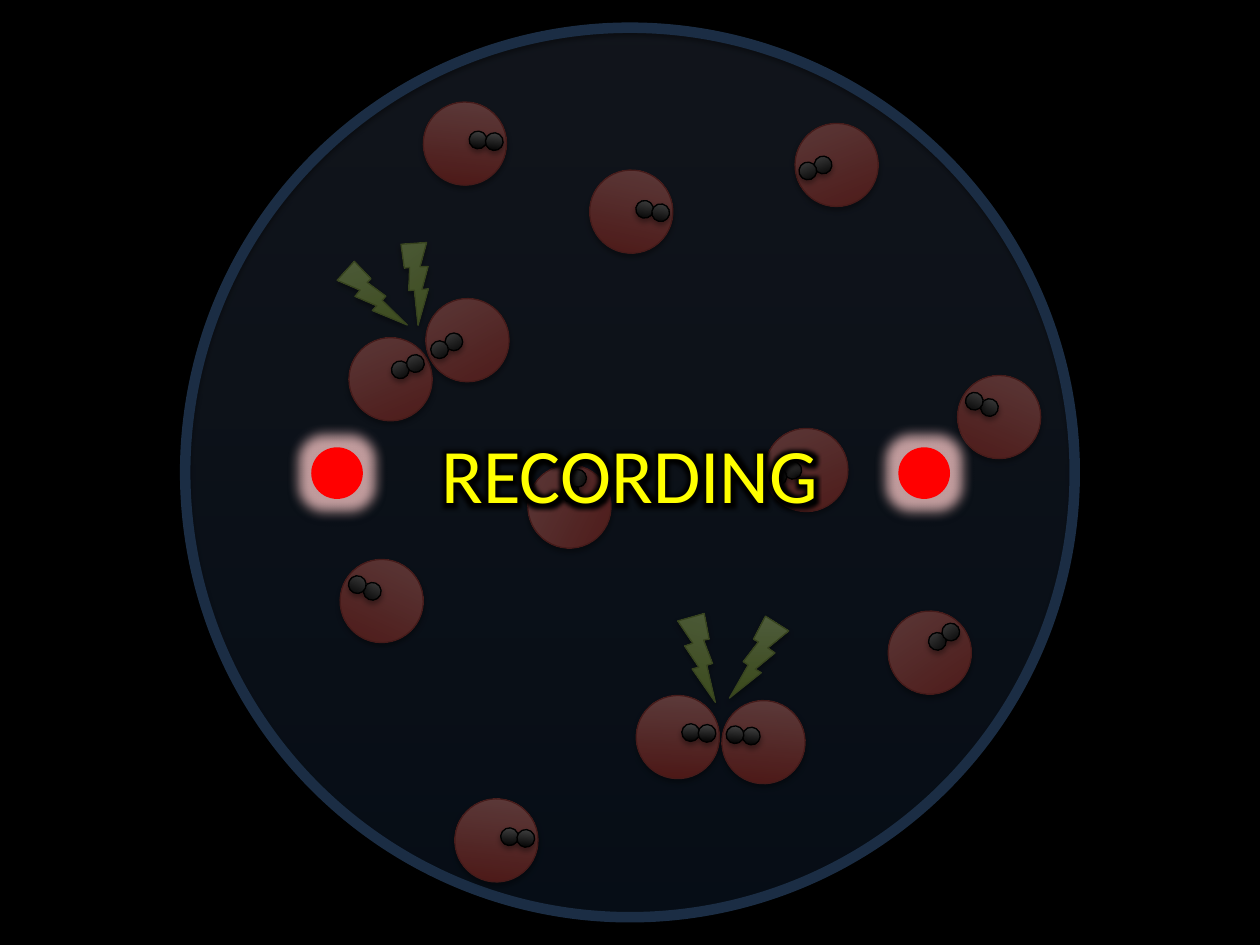
from math import cos, radians, sin

from lxml import etree
from pptx import Presentation
from pptx.dml.color import RGBColor as RGB
from pptx.enum.shapes import MSO_SHAPE as Kind
from pptx.enum.text import MSO_ANCHOR as Anchor, PP_ALIGN as Align
from pptx.oxml.ns import qn
from pptx.util import Inches, Pt

COLORS = {
    "black": "000000", "gray": "BDBDBD", "ring": "4B7EBC",
    "deep": "3F80CE", "sky": "A4C4FF",
    "red": "D1403C", "pink": "FFA6A5", "rust": "BF4C48",
    "green": "A0CA4A", "lime": "DAFFA5", "moss": "98B955",
    "yellow": "FFFF00", "lamp": "FF0000", "halo": "FFCCCC",
}
CELL = 0.66
EYE = 0.14
EYES = [(0.1, -0.04), (0.23, -0.04)]

CELLS = [
    (2.77, 2.68, 337.6, False), (3.38, 2.37, 331.3, True),
    (2.7, 4.44, 24, True), (4.68, 1.35, 11.9, False),
    (6.07, 3.4, 336.8, True), (5.05, 5.52, 2.7, False),
    (4.19, 3.69, 295.9, False), (3.61, 6.34, 6, False),
    (3.36, 0.81, 6, False), (7.05, 4.85, 325.3, False),
    (6.31, 0.98, 338.5, True), (7.6, 2.98, 22.6, True),
    (5.73, 5.56, 4.7, True),
]
BOLTS = [
    (5.31, 4.87, 0.47, 0.65, 16.6, False),
    (5.79, 4.89, 0.47, 0.65, 0, True),
    (2.72, 2.05, 0.44, 0.6, 344.3, False),
    (3.1, 1.91, 0.44, 0.6, 324.1, True),
]


def tint(node, name, alpha):
    color = etree.SubElement(node, qn("a:srgbClr"), val=COLORS[name])
    etree.SubElement(color, qn("a:alpha"), val=str(alpha * 1000))


def glow(node, name, size, alpha):
    tint(etree.SubElement(node, qn("a:glow"), rad=str(Pt(size))), name, alpha)


class Scene:
    font = "Calibri"

    def __init__(self, deck):
        self.slide = deck.slides.add_slide(deck.slide_layouts[0])
        back = self.slide.background.fill
        back.solid()
        back.fore_color.rgb = self.color("black")
        sub = self.slide.placeholders[1].element
        sub.getparent().remove(sub)

    def color(self, name):
        return RGB.from_string(COLORS[name])

    def shape(self, kind, box, fill=(), line=None, width=0.75, turn=0,
              flip=False, alpha=None, halo=None):
        item = self.slide.shapes.add_shape(kind, *map(Inches, box))
        item.rotation = turn
        props = item.element.spPr
        if flip:
            props.get_or_add_xfrm().set("flipH", "1")
        self.paint(item.fill, fill)
        if alpha:
            for color in props.iter(qn("a:srgbClr")):
                etree.SubElement(color, qn("a:alpha"), val=str(alpha * 1000))
        if line:
            item.line.color.rgb = self.color(line)
            item.line.width = Pt(width)
        else:
            item.line.fill.background()
        item.shadow.inherit = False
        fx = props.find(qn("a:effectLst"))
        if halo:
            glow(fx, *halo)
        shade = etree.SubElement(
            fx, qn("a:outerShdw"), blurRad=str(Pt(3.1)), dist=str(Pt(1.8)),
            dir="5400000", rotWithShape="0")
        tint(shade, "black", 35)

    def paint(self, fill, names):
        if not names:
            fill.background()
        elif len(names) == 1:
            fill.solid()
            fill.fore_color.rgb = self.color(names[0])
        else:
            fill.gradient()
            fill.gradient_angle = 90
            for stop, name, place in zip(fill.gradient_stops, names, (0, 1)):
                stop.color.rgb = self.color(name)
                stop.position = place

    def cell(self, left, top, turn, flip):
        self.shape(Kind.OVAL, (left, top, CELL, CELL), ("red", "pink"),
                   "rust", turn=turn, flip=flip)
        angle = radians(turn)
        edge = (CELL - EYE) / 2
        for x, y in EYES:
            x = -x if flip else x
            across = x * cos(angle) - y * sin(angle)
            down = x * sin(angle) + y * cos(angle)
            box = (left + edge + across, top + edge + down, EYE, EYE)
            self.shape(Kind.OVAL, box, ("black", "gray"), "black",
                       turn=turn, flip=flip)

    def bolt(self, left, top, width, height, turn, flip):
        self.shape(Kind.LIGHTNING_BOLT, (left, top, width, height),
                   ("green", "lime"), "moss", turn=turn, flip=flip)

    def title(self, text, box):
        item = self.slide.shapes.title
        item.left, item.top, item.width, item.height = map(Inches, box)
        item.element.getparent().append(item.element)
        frame = item.text_frame
        frame.vertical_anchor = Anchor.MIDDLE
        para = frame.paragraphs[0]
        para.alignment = Align.CENTER
        run = para.add_run()
        run.text = text
        run.font.size = Pt(44)
        run.font.name = self.font
        run.font.color.rgb = self.color("yellow")
        fx = etree.Element(qn("a:effectLst"))
        glow(fx, "black", 10, 100)
        run.font.fill
        run._r.rPr.find(qn("a:solidFill")).addnext(fx)


def main():
    deck = Presentation()
    deck.slide_width, deck.slide_height = Inches(10), Inches(7.5)
    scene = Scene(deck)
    dish = (1.47, 0.22, 7.06, 7.06)
    scene.shape(Kind.OVAL, dish, ("deep", "sky"), "ring", alpha=29)
    scene.shape(Kind.OVAL, dish, line="ring", width=6)
    for cell in CELLS:
        scene.cell(*cell)
    for bolt in BOLTS:
        scene.bolt(*bolt)
    scene.shape(Kind.RECTANGLE, (0, 0, 10, 7.5), ("black",), alpha=55)
    scene.title("RECORDING", (0, 2.95, 10, 1.61))
    for left in (2.47, 7.13):
        scene.shape(Kind.OVAL, (left, 3.55, 0.41, 0.41), ("lamp",),
                    halo=("halo", 14, 75))
    deck.save("out.pptx")


if __name__ == "__main__":
    main()
